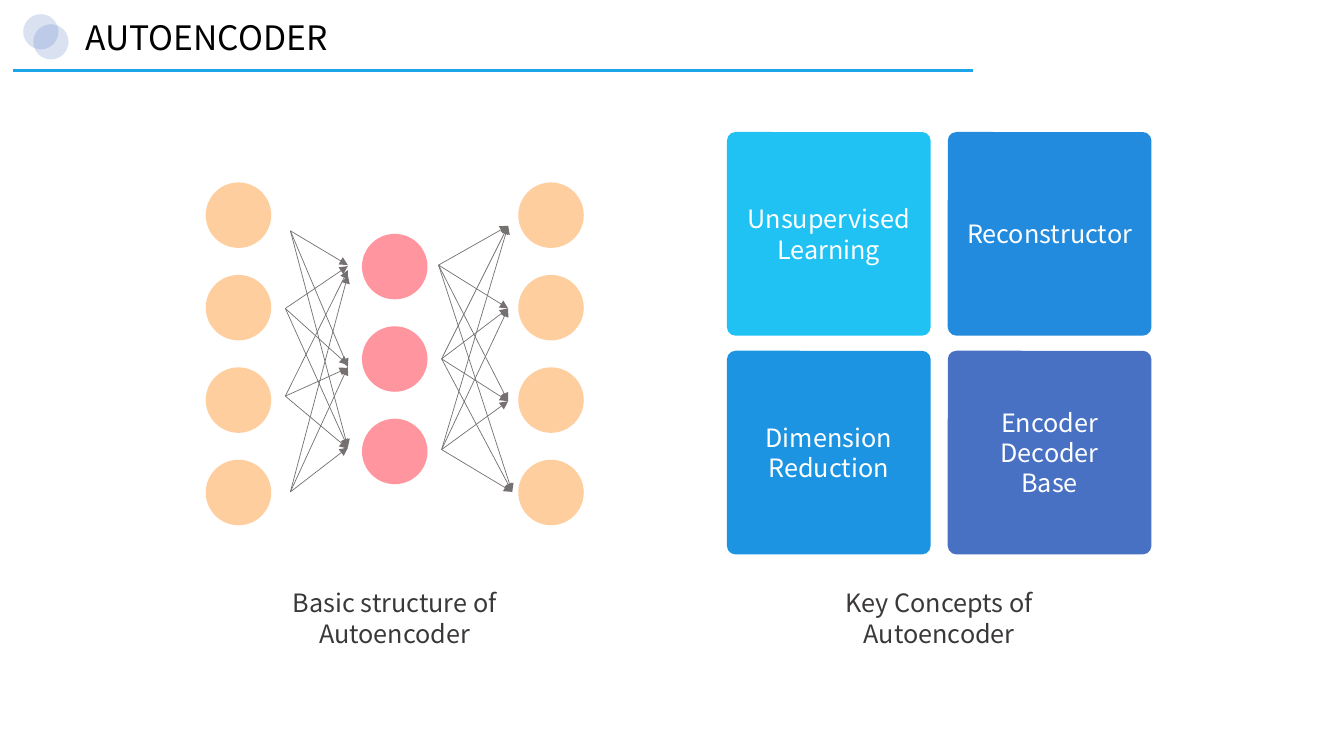
from itertools import product

from lxml import etree
from pptx import Presentation
from pptx import util as u
from pptx.dml.color import RGBColor
from pptx.enum import shapes, text
from pptx.oxml.ns import qn

WIDTH, HEIGHT = 13.33, 7.5
FONT = "Noto Sans CJK KR"
COLORS = {
    "logo": "4970C2", "rule": "1EA5E9", "title": "000000", "outer": "FFCE9F",
    "code": "FF959E", "arrow": "767171", "caption": "3B3838", "label": "FFFFFF",
}
NODE, NODE_STEP = 0.65, 0.917
LAYERS = [(2.04, 1.81, 4, "outer"), (3.59, 2.32, 3, "code"), (5.14, 1.81, 4, "outer")]
ENCODER_STARTS = [(2.88, 2.29), (2.83, 3.06), (2.83, 3.93), (2.88, 4.88)]
ENCODER_ENDS = [(2.63, 3.64, 4.44), (2.64, 3.62, 4.44), (2.68, 3.65, 4.45), (2.73, 3.64, 4.44)]
DECODER_STARTS = [(4.35, 2.63), (4.38, 3.56), (4.38, 4.46)]
DECODER_ENDS = [(5.04, 2.24), (5.04, 3.06), (5.04, 3.98), (5.08, 4.88)]
CARD, CARD_LEFT, CARD_TOP, CARD_STEP = 2.02, 7.21, 1.31, (2.19, 2.17)
CARDS = [
    ("Unsupervised\nLearning", "20C2F4"), ("Reconstructor", "228BDD"),
    ("Dimension\nReduction", "1D94E2"), ("Encoder\nDecoder\nBase", "4870C3"),
]


def inches(*lengths):
    """Convert lengths to slide units."""
    return [u.Inches(length) for length in lengths]


def write(box, words, size, color, align=text.PP_ALIGN.CENTER):
    """Fill a shape with text in one style."""
    frame = box.text_frame
    frame.word_wrap = True
    frame.text = words
    for para in frame.paragraphs:
        para.alignment = align
        for span in para.runs:
            span.font.size = u.Pt(size)
            span.font.name = FONT
            span.font.color.rgb = RGBColor.from_string(color)


def add_text(page, place, words, size, color, align):
    """Add a text box that grows with its text."""
    box = page.shapes.add_textbox(*inches(*place))
    write(box, words, size, color, align)
    box.text_frame.auto_size = text.MSO_AUTO_SIZE.SHAPE_TO_FIT_TEXT


def add_block(page, kind, left, top, side, color):
    """Add a plain filled shape with equal sides."""
    block = page.shapes.add_shape(kind, *inches(left, top, side, side))
    block.shadow.inherit = False
    block.fill.solid()
    block.fill.fore_color.rgb = RGBColor.from_string(color)
    block.line.fill.background()
    return block


def add_line(page, start, end, color, weight, arrow=False):
    """Add a straight line, with an arrowhead on request."""
    line = page.shapes.add_connector(shapes.MSO_CONNECTOR.STRAIGHT, *inches(*start, *end))
    line.line.color.rgb = RGBColor.from_string(color)
    line.line.width = u.Pt(weight)
    if arrow:
        etree.SubElement(line.line._get_or_add_ln(), qn("a:tailEnd"), type="triangle")
    etree.SubElement(line._element.spPr, qn("a:effectLst"))


def add_header(page):
    """Add the overlapping discs, the title and its rule."""
    for left, top in ((0.23, 0.14), (0.33, 0.24)):
        disc = add_block(page, shapes.MSO_SHAPE.OVAL, left, top, 0.35, COLORS["logo"])
        tint = disc._element.spPr.find(qn("a:solidFill"))[0]
        etree.SubElement(tint, qn("a:alpha"), val="20000")
    add_line(page, (0.13, 0.7), (9.65, 0.7), COLORS["rule"], 2.25)
    add_text(page, (0.75, 0.12, 8.22, 0.5), "AUTOENCODER", 24, COLORS["title"],
             text.PP_ALIGN.LEFT)


def add_network(page):
    """Add the layers of nodes and the arrows between them."""
    for left, top, count, color in LAYERS:
        for row in range(count):
            add_block(page, shapes.MSO_SHAPE.OVAL, left, top + row * NODE_STEP, NODE,
                      COLORS[color])
    links = [(start, (3.45, height)) for start, heights in zip(ENCODER_STARTS, ENCODER_ENDS)
             for height in heights]
    links += product(DECODER_STARTS, DECODER_ENDS)
    for start, end in links:
        add_line(page, start, end, COLORS["arrow"], 0.5, arrow=True)


def add_cards(page):
    """Add the two by two grid of concept cards."""
    for index, (words, color) in enumerate(CARDS):
        row, column = divmod(index, 2)
        card = add_block(page, shapes.MSO_SHAPE.ROUNDED_RECTANGLE,
                         CARD_LEFT + column * CARD_STEP[0], CARD_TOP + row * CARD_STEP[1],
                         CARD, color)
        card.adjustments[0] = 0.042
        card.text_frame.vertical_anchor = text.MSO_ANCHOR.MIDDLE
        write(card, words, 18, COLORS["label"])


def main():
    """Build the slide and save it."""
    deck = Presentation()
    deck.slide_width, deck.slide_height = inches(WIDTH, HEIGHT)
    page = deck.slides.add_slide(deck.slide_layouts[6])
    add_header(page)
    add_network(page)
    add_cards(page)
    for left, topic in ((2.56, "Basic structure of"), (7.96, "Key Concepts of")):
        add_text(page, (left, 5.78, 2.71, 0.71), f"{topic} Autoencoder", 18,
                 COLORS["caption"], text.PP_ALIGN.CENTER)
    deck.save("out.pptx")


if __name__ == "__main__":
    main()
